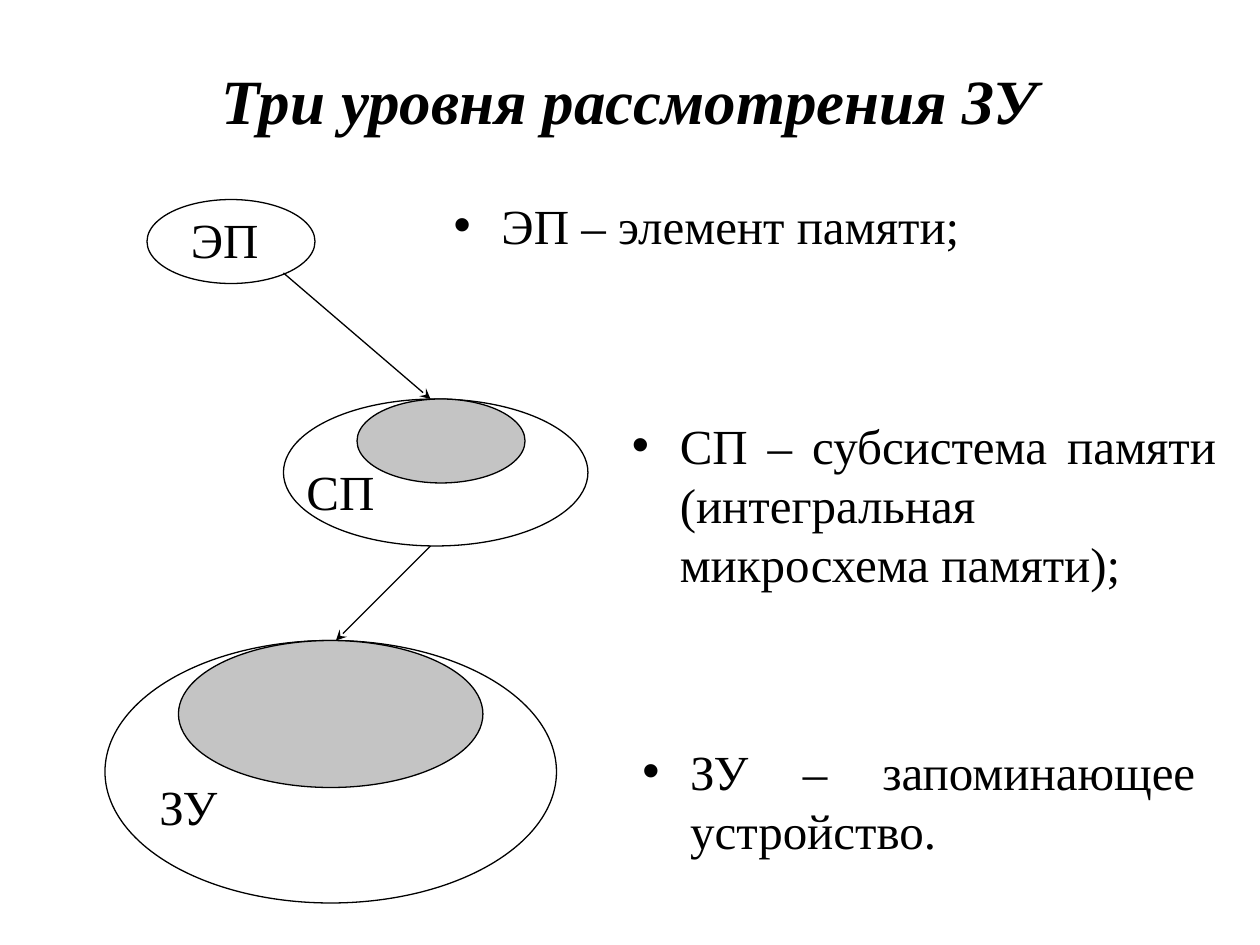
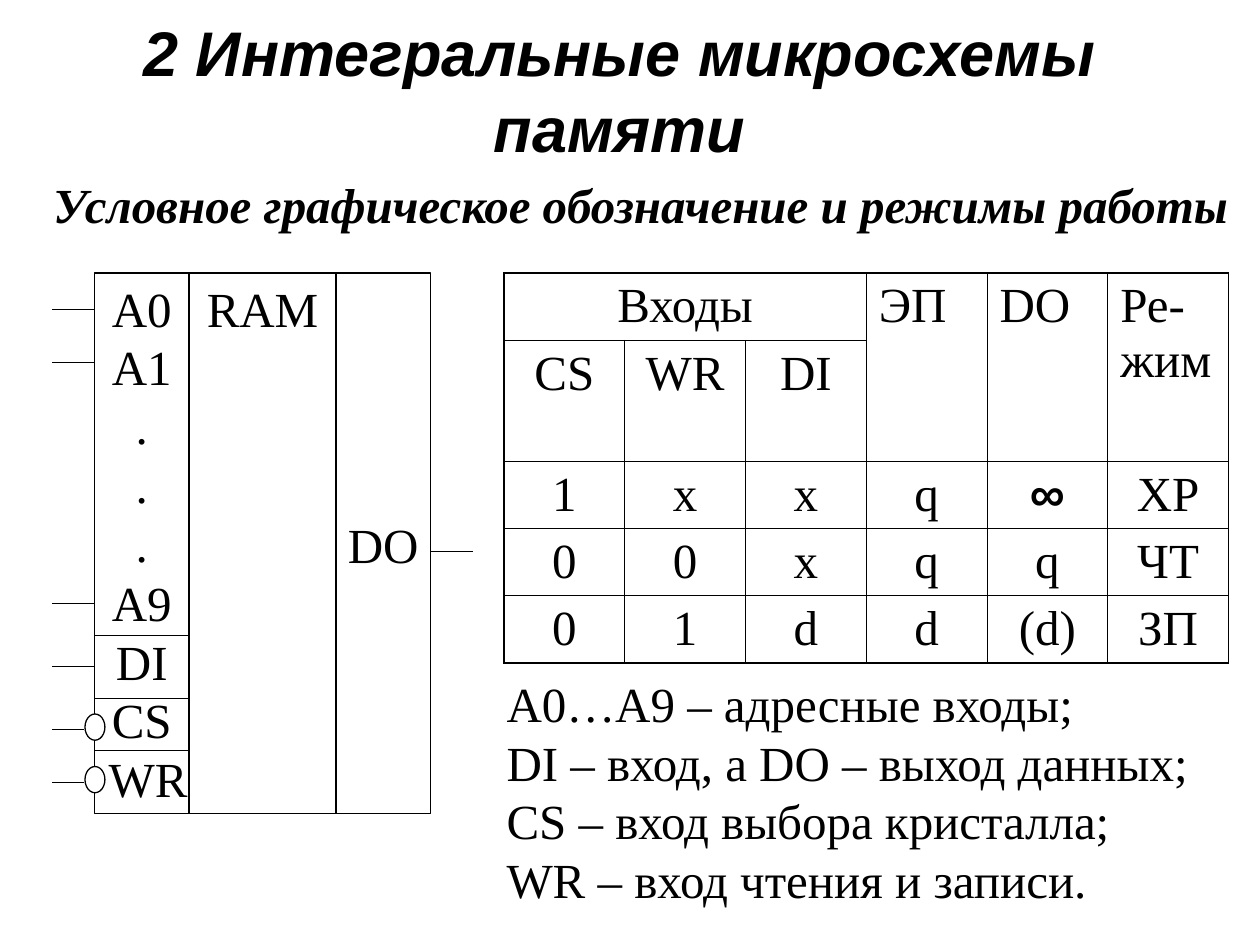
from dataclasses import dataclass
from typing import Optional, Sequence

from lxml.etree import SubElement
from pptx import Presentation
from pptx.dml.color import RGBColor
from pptx.enum.shapes import MSO_CONNECTOR as Connector, MSO_SHAPE as Preset
from pptx.enum.text import MSO_ANCHOR as Anchor, MSO_AUTO_SIZE as AutoSize, PP_ALIGN as Align
from pptx.oxml.ns import qn
from pptx.util import Inches, Pt

# Shared look: a grid of 120 columns by 90 rows, twelve to the inch
COLORS = {"ink": "000000", "paper": "FFFFFF", "nested": "C4C4C4"}
COLUMNS, ROWS, PER_INCH = 120, 90, 12
SERIF, SANS = "Times New Roman", "Arial"
BODY = {"name": SERIF, "size": Pt(28), "bold": False, "italic": False}
EMPHASIS = {**BODY, "bold": True, "italic": True}
TITLE = {**EMPHASIS, "size": Pt(36)}
HANGING = Inches(0.38)
OUTLINE = Pt(0.75)
THICK, THIN = Pt(1.08), Pt(0.45)


@dataclass(frozen=True)
class Box:
    col: float
    row: float
    cols: float
    rows: float

    def lengths(self) -> tuple:
        return tuple(grid(n) for n in (self.col, self.row, self.cols, self.rows))


@dataclass(frozen=True)
class Level:
    """One level of memory: its oval, the nested oval, label and definition."""
    label: str
    definition: str
    oval: Box
    label_box: Box
    definition_box: Box
    nested: Optional[Box] = None


@dataclass(frozen=True)
class Pin:
    row: float
    inverted: bool = False


def grid(units: float) -> int:
    return Inches(units / PER_INCH)


def color(name: str) -> RGBColor:
    return RGBColor.from_string(COLORS[name])


# Text helpers
def apply(target, values: dict) -> None:
    for attribute, value in values.items():
        setattr(target, attribute, value)


def write(frame, lines: Sequence[str], font: dict = BODY, align=Align.LEFT,
          bullet: Optional[str] = None, spacing: float = 1.0) -> None:
    frame.text = "\n".join(lines)
    for paragraph in frame.paragraphs:
        properties = paragraph._p.get_or_add_pPr()
        hanging = HANGING if bullet else 0
        properties.set("marL", str(hanging))
        properties.set("indent", str(-hanging))
        if bullet:
            SubElement(properties, qn("a:buFont"), typeface=SANS)
            SubElement(properties, qn("a:buChar"), char=bullet)
        else:
            SubElement(properties, qn("a:buNone"))
        apply(paragraph, {"alignment": align, "line_spacing": spacing, "space_before": Pt(0)})
        for run in paragraph.runs:
            apply(run.font, font)
            run.font.color.rgb = color("ink")


def set_frame(frame, anchor=Anchor.TOP, side: float = 0.1, edge: float = 0.05) -> None:
    apply(frame, {
        "word_wrap": True, "auto_size": AutoSize.NONE, "vertical_anchor": anchor,
        "margin_left": Inches(side), "margin_right": Inches(side),
        "margin_top": Inches(edge), "margin_bottom": Inches(edge),
    })


def fill_placeholder(placeholder, box: Box, text: str, anchor=Anchor.TOP, **style) -> None:
    apply(placeholder, dict(zip(("left", "top", "width", "height"), box.lengths())))
    set_frame(placeholder.text_frame, anchor)
    write(placeholder.text_frame, [text], **style)


def add_text(shapes, box: Box, lines: Sequence[str], side: float = 0.1,
             edge: float = 0.05, **style) -> None:
    frame = shapes.add_textbox(*box.lengths()).text_frame
    set_frame(frame, side=side, edge=edge)
    write(frame, lines, **style)


# Drawing helpers
def add_outlined(shapes, preset, box: Box, fill: Optional[str] = None):
    outlined = shapes.add_shape(preset, *box.lengths())
    outlined.shadow.inherit = False
    outlined.line.color.rgb = color("ink")
    outlined.line.width = OUTLINE
    if fill:
        outlined.fill.solid()
        outlined.fill.fore_color.rgb = color(fill)
    else:
        outlined.fill.background()
    return outlined


def add_line(shapes, start: tuple, end: tuple, arrow: bool = False) -> None:
    line = shapes.add_connector(Connector.STRAIGHT, *(grid(n) for n in (*start, *end)))
    line.line.color.rgb = color("ink")
    line.line.width = OUTLINE
    properties = line.element.spPr
    if arrow:
        SubElement(properties.find(qn("a:ln")), qn("a:tailEnd"), type="stealth")
    SubElement(properties, qn("a:effectLst"))


def add_slide(deck, title: str, title_box: Box, font: dict):
    slide = deck.slides.add_slide(deck.slide_layouts[1])
    fill_placeholder(slide.shapes.title, title_box, title, Anchor.MIDDLE,
                     font=font, align=Align.CENTER)
    return slide


# Slide 1: three nested levels of memory
LEVELS = (
    Level("ЭП", "ЭП – элемент памяти;", Box(14, 19, 16, 8),
          Box(17, 20, 10, 7), Box(42, 18, 75, 9)),
    Level("СП", "СП – субсистема памяти (интегральная микросхема памяти);",
          Box(27, 38, 29, 14), Box(28, 44, 10, 7), Box(59, 39, 58, 23), Box(34, 38, 16, 8)),
    Level("ЗУ", "ЗУ – запоминающее устройство.", Box(10, 61, 43, 25),
          Box(14, 74, 10, 7), Box(60, 70, 55, 13), Box(17, 61, 29, 14)),
)
LEVEL_ARROWS = (((27, 26), (41, 38)), ((41, 52), (32, 61)))


def build_levels(deck) -> None:
    slide = add_slide(deck, "Три уровня рассмотрения ЗУ", Box(9, 4, 102, 11), TITLE)
    shapes = slide.shapes
    listed = {"align": Align.JUSTIFY, "bullet": "•"}
    for level in LEVELS:
        add_outlined(shapes, Preset.OVAL, level.oval)
        if level.nested:
            add_outlined(shapes, Preset.OVAL, level.nested, "nested")
        add_text(shapes, level.label_box, [level.label], spacing=0.9)
        if level is LEVELS[0]:
            fill_placeholder(slide.placeholders[1], level.definition_box,
                             level.definition, **listed)
        else:
            add_text(shapes, level.definition_box, [level.definition], **listed)
    for start, end in LEVEL_ARROWS:
        add_line(shapes, start, end, arrow=True)


# Slide 2: chip symbol and its operating modes
CHIP_TOP, CHIP_ROWS = 26, 51.5
INPUTS_LEFT, CORE_LEFT, OUTPUT_LEFT, CHIP_RIGHT = 9, 18, 32, 41
PIN_LENGTH = 4
INPUT_NAMES = ("A0", "A1", ".", ".", ".", "A9", "DI", "CS", "WR")
INPUT_DIVIDERS = (60.5, 66.5, 71.5)
INPUT_PINS = (Pin(29.5), Pin(34.5), Pin(57.5), Pin(63.5), Pin(69.5, True), Pin(74.5, True))
OUTPUT_ROW, OUTPUT_DROP = 52.5, 23
MODES = (
    ("Входы", "", "", "ЭП", "DO", "Ре-\vжим"),
    ("CS", "WR", "DI", "", "", ""),
    ("1", "х", "х", "q", "∞", "ХР"),
    ("0", "0", "х", "q", "q", "ЧТ"),
    ("0", "1", "d", "d", "(d)", "ЗП"),
)
MODE_COLS, MODE_ROWS = 11.5, (6.4, 11.5, 6.4, 6.4, 6.4)
PIN_MEANINGS = (
    "А0…А9 – адресные входы;",
    "DI – вход, а DO – выход данных;",
    "CS – вход выбора кристалла;",
    "WR – вход чтения и записи.",
)


def add_chip(slide) -> None:
    chip = slide.shapes.add_group_shape().shapes
    fields = (
        (CORE_LEFT, OUTPUT_LEFT, ("RAM",), "paper", 0.1),
        (INPUTS_LEFT, CORE_LEFT, INPUT_NAMES, "paper", 0),
        (OUTPUT_LEFT, CHIP_RIGHT, ("DO",), None, 0),
    )
    for left, right, names, fill, side in fields:
        field = add_outlined(chip, Preset.RECTANGLE,
                             Box(left, CHIP_TOP, right - left, CHIP_ROWS), fill)
        frame = field.text_frame
        set_frame(frame, side=side, edge=0.04)
        write(frame, names, align=Align.CENTER)
        if left == OUTPUT_LEFT:
            frame.margin_top = grid(OUTPUT_DROP)
        if names is INPUT_NAMES:
            # WR stands clear of its inversion mark
            frame.paragraphs[-1]._p.pPr.set("marL", str(Inches(0.1)))
    for row in INPUT_DIVIDERS:
        add_line(chip, (INPUTS_LEFT, row), (CORE_LEFT, row))
    for pin in INPUT_PINS:
        end = INPUTS_LEFT - 1 if pin.inverted else INPUTS_LEFT
        add_line(chip, (INPUTS_LEFT - PIN_LENGTH, pin.row), (end, pin.row))
        if pin.inverted:
            add_outlined(chip, Preset.OVAL,
                         Box(INPUTS_LEFT - 0.9, pin.row - 1.5, 1.9, 2.5), "paper")
    add_line(chip, (CHIP_RIGHT, OUTPUT_ROW), (CHIP_RIGHT + PIN_LENGTH, OUTPUT_ROW))


def set_borders(cell, outer: dict) -> None:
    properties = cell._tc.get_or_add_tcPr()
    for position, (side, is_outer) in enumerate(outer.items()):
        border = SubElement(properties, qn(f"a:ln{side}"), w=str(THICK if is_outer else THIN))
        ink = SubElement(border, qn("a:solidFill"))
        SubElement(ink, qn("a:srgbClr"), val=COLORS["ink"])
        properties.insert(position, border)


def add_modes(slide) -> None:
    row_count, col_count = len(MODES), len(MODES[0])
    area = Box(48, CHIP_TOP, MODE_COLS * col_count, sum(MODE_ROWS))
    table = slide.shapes.add_table(row_count, col_count, *area.lengths()).table
    apply(table, {"first_row": False, "horz_banding": False})
    for column in table.columns:
        column.width = grid(MODE_COLS)
    for row, height in zip(table.rows, MODE_ROWS):
        row.height = grid(height)
    table.cell(0, 0).merge(table.cell(0, 2))
    for c in range(3, col_count):
        table.cell(0, c).merge(table.cell(1, c))
    for r, values in enumerate(MODES):
        for c, value in enumerate(values):
            cell = table.cell(r, c)
            cell.fill.background()
            set_borders(cell, {"L": c == 0, "R": c == col_count - 1,
                               "T": r == 0, "B": r == row_count - 1})
            if value:
                font = {**BODY, "name": SANS, "bold": True} if value == "∞" else BODY
                align = Align.LEFT if r == 0 and c > 0 else Align.CENTER
                write(cell.text_frame, [value], font, align)


def build_chip(deck) -> None:
    slide = add_slide(deck, "2 Интегральные микросхемы памяти", Box(8, 1, 102, 15),
                      {**TITLE, "name": SANS})
    fill_placeholder(slide.placeholders[1], Box(2, 16, 118, 10),
                     "Условное графическое обозначение и режимы работы",
                     font=EMPHASIS, align=Align.CENTER)
    add_text(slide.shapes, Box(48, 64, 69, 25), PIN_MEANINGS, side=0.02, edge=0.01)
    add_chip(slide)
    add_modes(slide)


def main() -> None:
    deck = Presentation()
    deck.slide_width, deck.slide_height = grid(COLUMNS), grid(ROWS)
    build_levels(deck)
    build_chip(deck)
    deck.save("out.pptx")


if __name__ == "__main__":
    main()
